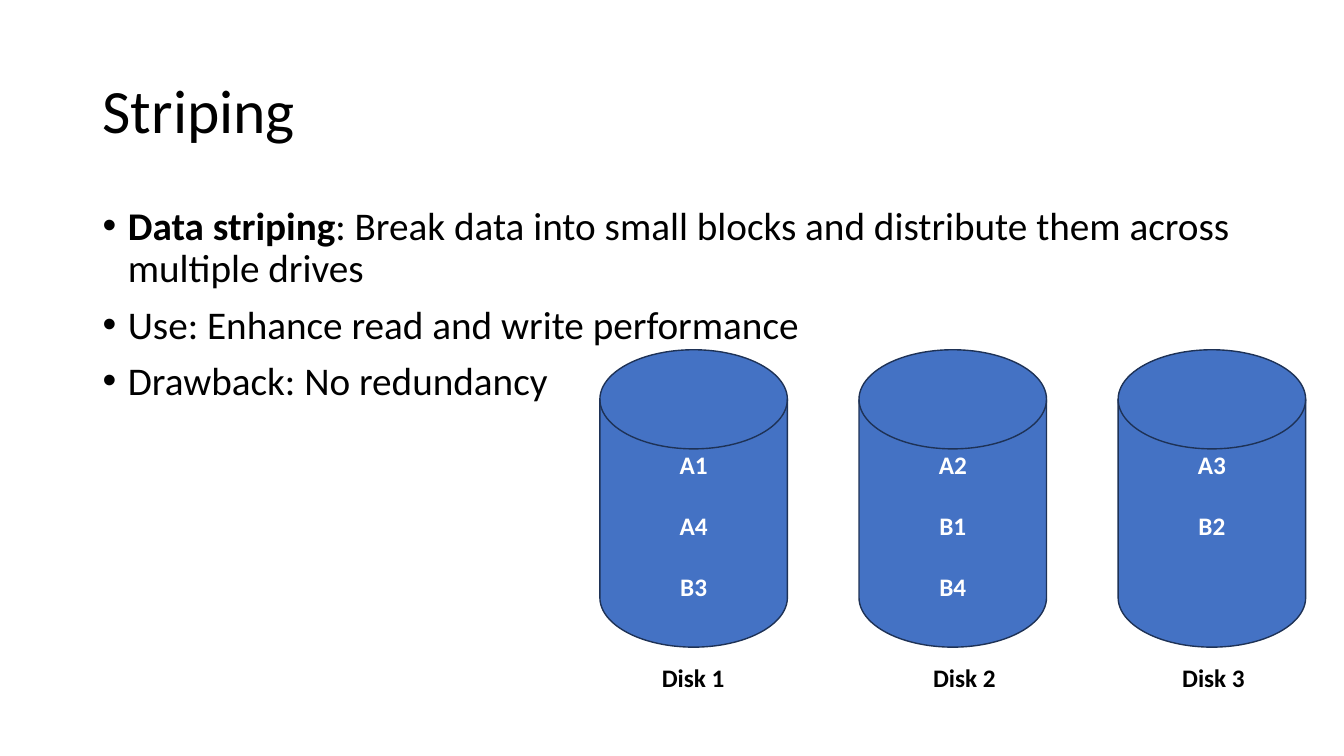
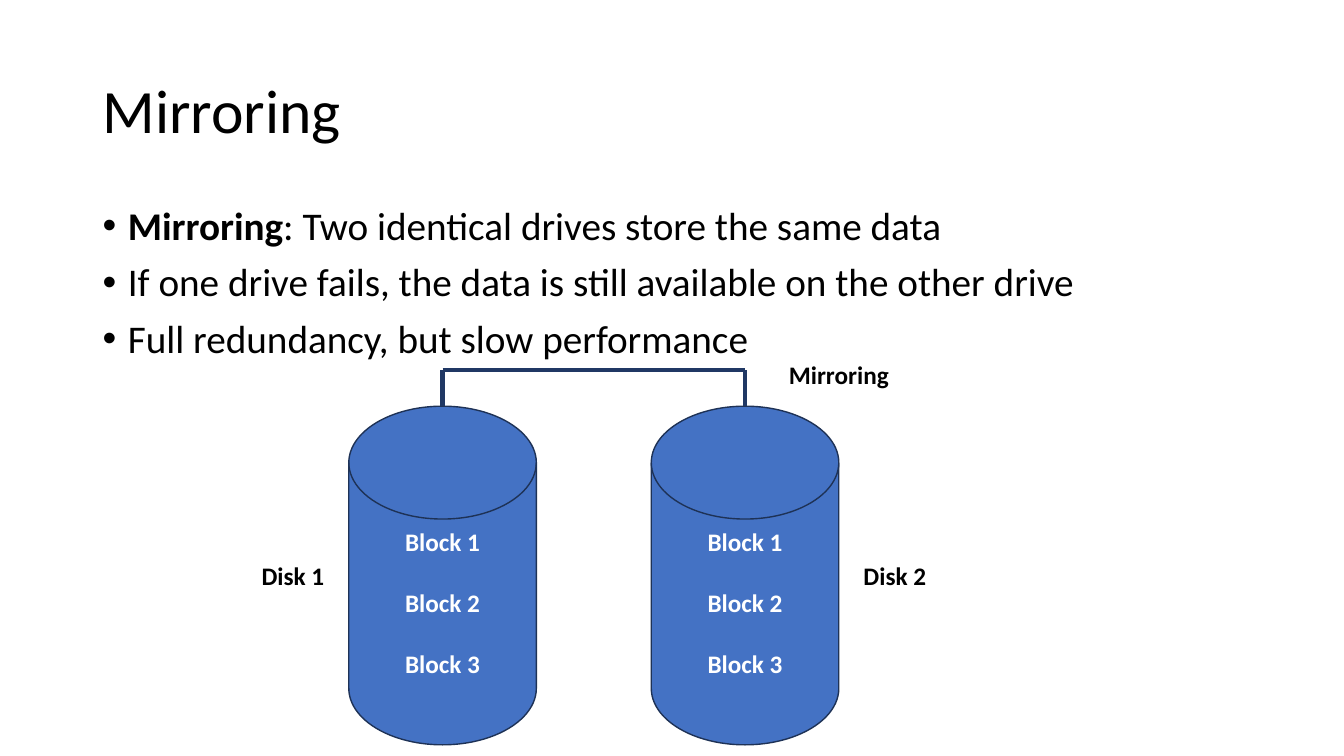
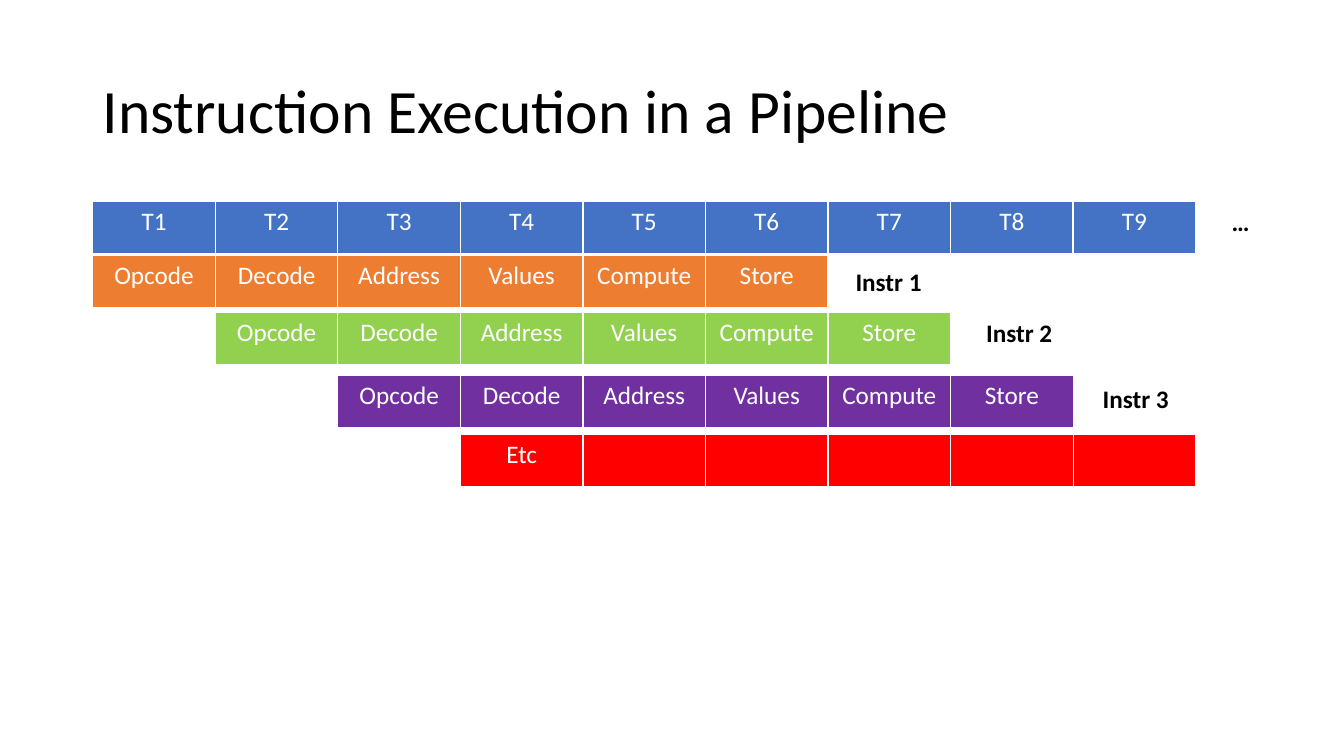
from lxml import etree
from pptx import Presentation
from pptx.dml.color import RGBColor
from pptx.enum import shapes, text
from pptx.oxml import ns
from pptx.util import Inches, Pt

FONT = "Calibri"
BLACK = RGBColor(0x00, 0x00, 0x00)
WHITE = RGBColor(0xFF, 0xFF, 0xFF)
BLUE = RGBColor(0x44, 0x72, 0xC4)
DISK_EDGE = RGBColor(0x1E, 0x32, 0x56)
NAVY = RGBColor(0x20, 0x38, 0x64)
ORANGE = RGBColor(0xED, 0x7D, 0x31)
GREEN = RGBColor(0x92, 0xD0, 0x50)
PURPLE = RGBColor(0x70, 0x30, 0xA0)
RED = RGBColor(0xFF, 0x00, 0x00)

LEFT, CONTENT_W = 0.92, 11.5
DISK_W = 1.86
DISK_TEXT_H = 1.53
LABEL_W, LABEL_H = 1.49, 0.4
STAGE_W, STAGE_H = 10.94 / 9, 0.53
STAGES = ["Opcode", "Decode", "Address", "Values", "Compute", "Store"]


def style(p, size, color, bold=False):
    for r in p.runs:
        r.font.name = FONT
        r.font.size = Pt(size)
        r.font.bold = bold
        r.font.color.rgb = color


def add_text(s, x, y, w, h):
    tf = s.shapes.add_textbox(Inches(x), Inches(y), Inches(w), Inches(h)).text_frame
    tf.word_wrap = True
    return tf


def add_title(s, title):
    tf = add_text(s, LEFT, 0.4, CONTENT_W, 1.45)
    tf.vertical_anchor = text.MSO_ANCHOR.MIDDLE
    tf.text = title
    p = tf.paragraphs[0]
    p.line_spacing = 0.9
    style(p, 44, BLACK)


def add_bullet(p):
    pPr = p._p.get_or_add_pPr()
    pPr.set("marL", str(Inches(0.25)))
    pPr.set("indent", str(-Inches(0.25)))
    etree.SubElement(pPr, ns.qn("a:buFont")).set("typeface", "Arial")
    etree.SubElement(pPr, ns.qn("a:buChar")).set("char", "•")


def add_body(s, term, lines):
    tf = add_text(s, LEFT, 2, CONTENT_W, 4.76)
    for i, line in enumerate(lines):
        p = tf.paragraphs[0] if i == 0 else tf.add_paragraph()
        if i == 0:
            p.add_run().text = term
        p.add_run().text = line
        p.line_spacing = 0.9
        p.space_before = Pt(10)
        style(p, 28, BLACK)
        add_bullet(p)
    tf.paragraphs[0].runs[0].font.bold = True


def add_label(s, x, y, label, w=LABEL_W):
    tf = add_text(s, x, y, w, LABEL_H)
    tf.text = label
    p = tf.paragraphs[0]
    p.alignment = text.PP_ALIGN.CENTER
    style(p, 18, BLACK, True)


def add_disk(s, x, y, h, blocks):
    sp = s.shapes.add_shape(shapes.MSO_SHAPE.FLOWCHART_MAGNETIC_DISK,
                            Inches(x), Inches(y), Inches(DISK_W), Inches(h))
    sp.shadow.inherit = False
    sp.fill.solid()
    sp.fill.fore_color.rgb = BLUE
    sp.line.color.rgb = DISK_EDGE
    sp.line.width = Pt(1)
    tf = sp.text_frame
    tf.vertical_anchor = text.MSO_ANCHOR.TOP
    tf.margin_top = Inches(max(0, (h / 2 - DISK_TEXT_H) / 2))
    tf.margin_bottom = 0
    tf.text = "\n".join(blocks)
    for p in tf.paragraphs:
        p.alignment = text.PP_ALIGN.CENTER
        style(p, 18, WHITE, True)
    for p in tf.paragraphs[:-1]:
        p.space_after = Pt(22)


def add_line(s, x1, y1, x2, y2):
    c = s.shapes.add_connector(shapes.MSO_CONNECTOR.STRAIGHT,
                               Inches(x1), Inches(y1), Inches(x2), Inches(y2))
    c.line.color.rgb = NAVY
    c.line.width = Pt(3.25)
    etree.SubElement(c._element.spPr, ns.qn("a:effectLst"))


def add_bridge(s, x1, x2, top, bottom):
    add_line(s, x1, bottom, x1, top)
    add_line(s, x2, bottom, x2, top)
    add_line(s, x1, top, x2, top)


def add_borders(cell):
    tcPr = cell._tc.get_or_add_tcPr()
    for side, width in (("L", 1), ("R", 1), ("T", 1), ("B", 3)):
        ln = etree.SubElement(tcPr, ns.qn("a:ln" + side), w=str(Pt(width)))
        fill = etree.SubElement(ln, ns.qn("a:solidFill"))
        etree.SubElement(fill, ns.qn("a:srgbClr"), val=str(WHITE))


def add_stage_row(s, x, y, names, color):
    n = len(names)
    table = s.shapes.add_table(1, n, Inches(x), Inches(y),
                               Inches(n * STAGE_W), Inches(STAGE_H)).table
    table.first_row = table.horz_banding = False
    for cell, name in zip(table.rows[0].cells, names):
        add_borders(cell)
        cell.fill.solid()
        cell.fill.fore_color.rgb = color
        cell.text_frame.text = name
        p = cell.text_frame.paragraphs[0]
        p.alignment = text.PP_ALIGN.CENTER
        style(p, 18, WHITE)


def new_slide(prs, title):
    s = prs.slides.add_slide(prs.slide_layouts[6])
    add_title(s, title)
    return s


def striping_slide(prs):
    s = new_slide(prs, "Striping")
    add_body(s, "Data striping", [
        ": Break data into small blocks and distribute them across multiple drives",
        "Use: Enhance read and write performance",
        "Drawback: No redundancy"])
    x, y, h, pitch = 5.95, 3.47, 2.95, 2.57
    disks = [(["A1", "A4", "B3"], 0.18),
             (["A2", "B1", "B4"], 0.3),
             (["A3", "B2"], 0.2)]
    for i, (blocks, label_dx) in enumerate(disks):
        disk_x = x + i * pitch
        add_disk(s, disk_x, y, h, blocks)
        add_label(s, disk_x + label_dx, y + h + 0.1, f"Disk {i + 1}")


def mirroring_slide(prs):
    s = new_slide(prs, "Mirroring")
    add_body(s, "Mirroring", [
        ": Two identical drives store the same data",
        "If one drive fails, the data is still available on the other drive",
        "Full redundancy, but slow performance"])
    x, y, h, pitch = 3.46, 4.03, 3.36, 3
    for i, label_dx in enumerate((-1.3, 1.67)):
        disk_x = x + i * pitch
        add_disk(s, disk_x, y, h, [f"Block {n}" for n in (1, 2, 3)])
        add_label(s, disk_x + label_dx, y + 1.48, f"Disk {i + 1}")
    center = x + DISK_W / 2
    add_bridge(s, center, center + pitch, y - 0.36, y)
    add_label(s, center + pitch + 0.2, y - 0.51, "Mirroring", 1.46)


def pipeline_slide(prs):
    s = new_slide(prs, "Instruction Execution in a Pipeline")
    add_stage_row(s, LEFT, 2, [f"T{n}" for n in range(1, 10)], BLUE)
    add_label(s, 11.97, 2, "…", 0.67)
    instructions = [(2.53, ORANGE, 0.14, 0.06),
                    (3.1, GREEN, 0.22, 0),
                    (3.72, PURPLE, 0.16, 0.03)]
    for i, (y, color, dx, dy) in enumerate(instructions):
        x = LEFT + i * STAGE_W
        add_stage_row(s, x, y, STAGES, color)
        add_label(s, x + len(STAGES) * STAGE_W + dx, y + dy, f"Instr {i + 1}", 0.92)
    add_stage_row(s, LEFT + 3 * STAGE_W, 4.31, ["Etc"] + [""] * 5, RED)


def main():
    prs = Presentation()
    prs.slide_width, prs.slide_height = Inches(13.33), Inches(7.5)
    striping_slide(prs)
    mirroring_slide(prs)
    pipeline_slide(prs)
    prs.save("out.pptx")


if __name__ == "__main__":
    main()
